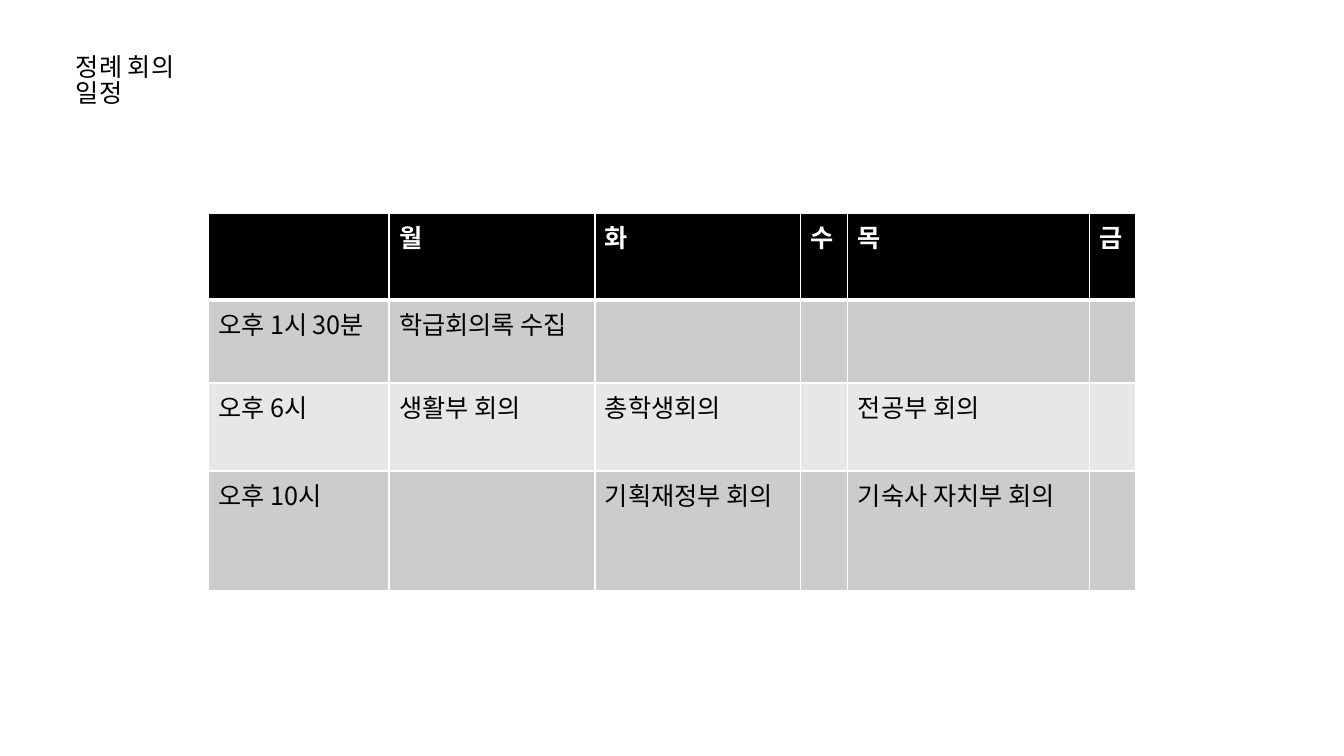
"""Build the weekly regular-meeting timetable slide."""

from dataclasses import dataclass

from lxml import etree
from pptx import Presentation
from pptx import util as u
from pptx.dml.color import RGBColor
from pptx.enum import text
from pptx.oxml.ns import qn

EMU_PER_PX = 914400 / 100.8
FONT = "Noto Sans CJK KR"
FONT_SIZE = u.Pt(18)
BLACK = RGBColor(0x00, 0x00, 0x00)
WHITE = RGBColor(0xFF, 0xFF, 0xFF)
GRAY = RGBColor(0xCC, 0xCC, 0xCC)
LIGHT_GRAY = RGBColor(0xE7, 0xE7, 0xE7)
COLUMN_WIDTHS = (181, 206, 206, 47, 242, 46)


@dataclass(frozen=True)
class TimetableRow:
    """One row of the timetable and its look."""

    height: int
    fill: RGBColor
    labels: tuple[str, ...]
    color: RGBColor = BLACK
    bold: bool = False
    top_border: int = 1
    bottom_border: int = 1


ROWS = (
    TimetableRow(87, BLACK, ("", "월", "화", "수", "목", "금"), WHITE, True, bottom_border=3),
    TimetableRow(83, GRAY, ("오후 1시 30분", "학급회의록 수집", "", "", "", ""), top_border=3),
    TimetableRow(88, LIGHT_GRAY, ("오후 6시", "생활부 회의", "총학생회의", "", "전공부 회의", "")),
    TimetableRow(120, GRAY, ("오후 10시", "", "기획재정부 회의", "", "기숙사 자치부 회의", "")),
)


def px(length: int) -> u.Emu:
    """Turn a length in px into EMU."""
    return u.Emu(round(length * EMU_PER_PX))


def style_paragraph(paragraph, color: RGBColor, bold: bool = False) -> None:
    """Set the slide font for Latin and Korean text."""
    font = paragraph.font
    font.name, font.size, font.bold = FONT, FONT_SIZE, bold
    font.color.rgb = color
    latin = paragraph._p.find(".//" + qn("a:latin"))
    east_asian = etree.Element(qn("a:ea"), typeface=FONT)
    latin.addnext(east_asian)


def add_borders(cell, row: TimetableRow) -> None:
    """Draw white borders on all four sides of a cell."""
    properties = cell._tc.get_or_add_tcPr()
    widths = {"lnL": 1, "lnR": 1, "lnT": row.top_border, "lnB": row.bottom_border}
    for position, (side, width) in enumerate(widths.items()):
        line = etree.Element(qn(f"a:{side}"), w=str(u.Pt(width)))
        fill = etree.SubElement(line, qn("a:solidFill"))
        etree.SubElement(fill, qn("a:srgbClr"), val=str(WHITE))
        properties.insert(position, line)


def add_title(slide) -> None:
    """Add the slide heading."""
    frame = slide.shapes.add_textbox(px(66), px(51), px(167), px(40)).text_frame
    frame.word_wrap = True
    frame.auto_size = text.MSO_AUTO_SIZE.SHAPE_TO_FIT_TEXT
    paragraph = frame.paragraphs[0]
    paragraph.text = "정례 회의 일정"
    paragraph.line_spacing = 0.85
    style_paragraph(paragraph, BLACK)


def add_timetable(slide) -> None:
    """Add the table of meetings by weekday and hour."""
    width, height = sum(COLUMN_WIDTHS), sum(row.height for row in ROWS)
    table = slide.shapes.add_table(
        len(ROWS), len(COLUMN_WIDTHS), px(208), px(213), px(width), px(height)
    ).table
    for column, column_width in zip(table.columns, COLUMN_WIDTHS):
        column.width = px(column_width)
    for table_row, row in zip(table.rows, ROWS):
        table_row.height = px(row.height)
        for cell, label in zip(table_row.cells, row.labels):
            cell.fill.solid()
            cell.fill.fore_color.rgb = row.fill
            add_borders(cell, row)
            paragraph = cell.text_frame.paragraphs[0]
            paragraph.text = label
            style_paragraph(paragraph, row.color, row.bold)


def main() -> None:
    """Build and save the presentation."""
    presentation = Presentation()
    presentation.slide_width, presentation.slide_height = px(1344), px(756)
    slide = presentation.slides.add_slide(presentation.slide_layouts[6])
    add_title(slide)
    add_timetable(slide)
    presentation.save("out.pptx")


if __name__ == "__main__":
    main()
